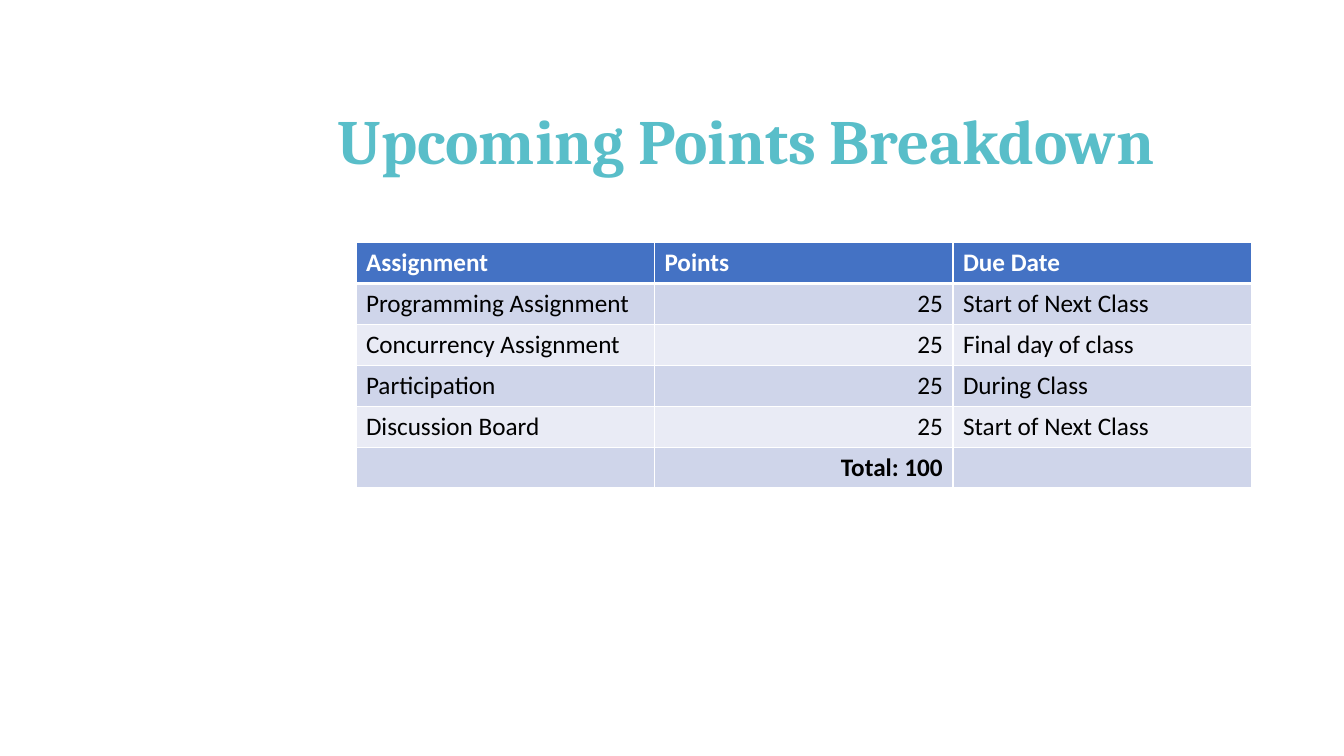
from dataclasses import dataclass

from lxml import etree
from pptx import Presentation
from pptx import util as u
from pptx.dml.color import RGBColor
from pptx.enum import text
from pptx.oxml.ns import qn


@dataclass(frozen=True)
class Theme:
    title_font: str = "Cambria"
    body_font: str = "Calibri"
    title_size: int = 45
    body_size: int = 18
    title: str = "59BEC9"
    header: str = "4472C4"
    bands: tuple = ("CFD5EA", "E9EBF5")
    white: str = "FFFFFF"
    black: str = "000000"
    grid_pt: int = 1
    header_rule_pt: int = 3


THEME = Theme()
HEADINGS = ("Assignment", "Points", "Due Date")
ASSIGNMENTS = (
    ("Programming Assignment", 25, "Start of Next Class"),
    ("Concurrency Assignment", 25, "Final day of class"),
    ("Participation", 25, "During Class"),
    ("Discussion Board", 25, "Start of Next Class"),
)
POINTS_COL = HEADINGS.index("Points")


def px(n):
    """Whole pixels to EMU, at 96 px to the inch."""
    return u.Emu(n * 9525)


def write(tf, words, *, font, size, color, bold=False, align=text.PP_ALIGN.LEFT,
          spacing=None):
    p = tf.paragraphs[0]
    p.alignment = align
    p.line_spacing = spacing
    r = p.add_run()
    r.text = words
    r.font.name = font
    r.font.size = u.Pt(size)
    r.font.bold = bold
    r.font.color.rgb = RGBColor.from_string(color)


def set_borders(cell, color, **widths):
    """Draw the cell's edges; widths in points, keyed L, R, T, B."""
    tc_pr = cell._tc.get_or_add_tcPr()
    for side in "LRTB":
        ln = etree.SubElement(tc_pr, qn(f"a:ln{side}"), w=str(u.Pt(widths[side])))
        fill = etree.SubElement(ln, qn("a:solidFill"))
        etree.SubElement(fill, qn("a:srgbClr"), val=color)


def add_title(slide, words, x, y, w, h):
    sp = slide.shapes.title
    sp.left, sp.top, sp.width, sp.height = px(x), px(y), px(w), px(h)
    tf = sp.text_frame
    tf.word_wrap = True
    tf.auto_size = text.MSO_AUTO_SIZE.NONE
    tf.vertical_anchor = text.MSO_ANCHOR.MIDDLE
    write(tf, words, font=THEME.title_font, size=THEME.title_size,
          color=THEME.title, bold=True, spacing=0.9)


def add_points_table(slide, x, y, w, h):
    total = sum(row[POINTS_COL] for row in ASSIGNMENTS)
    rows = (HEADINGS, *ASSIGNMENTS, ("", f"Total: {total}", ""))
    table = slide.shapes.add_table(
        len(rows), len(HEADINGS), px(x), px(y), px(w), px(h)).table

    for i, row in enumerate(rows):
        is_header, is_total = i == 0, i == len(rows) - 1
        fill = THEME.header if is_header else THEME.bands[(i - 1) % 2]
        # The thick rule is shared by the header and the first body row
        top = THEME.header_rule_pt if i == 1 else THEME.grid_pt
        bottom = THEME.header_rule_pt if is_header else THEME.grid_pt

        for j, value in enumerate(row):
            cell = table.cell(i, j)
            set_borders(cell, THEME.white, L=THEME.grid_pt, R=THEME.grid_pt,
                        T=top, B=bottom)
            cell.fill.solid()
            cell.fill.fore_color.rgb = RGBColor.from_string(fill)
            if value == "":
                continue
            right = j == POINTS_COL and not is_header
            write(cell.text_frame, str(value), font=THEME.body_font,
                  size=THEME.body_size, bold=is_header or is_total,
                  color=THEME.white if is_header else THEME.black,
                  align=text.PP_ALIGN.RIGHT if right else text.PP_ALIGN.LEFT)


def main():
    prs = Presentation()
    prs.slide_width, prs.slide_height = px(1280), px(720)
    slide = prs.slides.add_slide(prs.slide_layouts.get_by_name("Title Only"))

    # Heading
    add_title(slide, "Upcoming Points Breakdown", 312, 96, 879, 82)
    # Points and due dates
    add_points_table(slide, 339, 231, 853, 234)

    prs.save("out.pptx")


if __name__ == "__main__":
    main()
